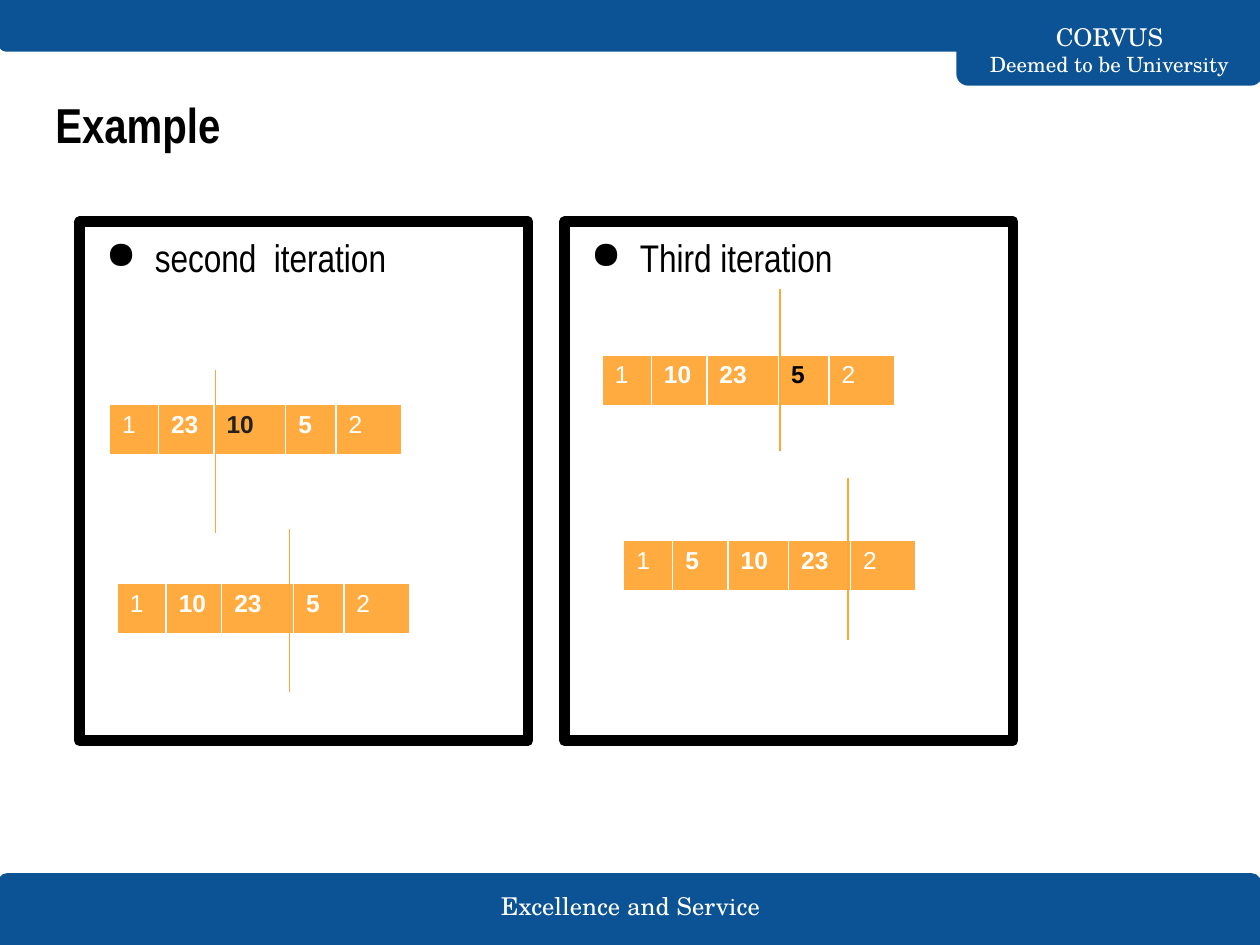
from lxml import etree
from pptx import Presentation
from pptx.dml.color import RGBColor
from pptx.enum.shapes import MSO_CONNECTOR as Conn, MSO_SHAPE as Shape
from pptx.enum.text import MSO_ANCHOR as Anchor, PP_ALIGN as Align
from pptx.oxml.ns import qn
from pptx.util import Pt

BLUE = RGBColor(0x0B, 0x53, 0x94)
WHITE = RGBColor(0xFF, 0xFF, 0xFF)
BLACK = RGBColor(0, 0, 0)
DARK = RGBColor(0x21, 0x21, 0x21)
CELL = RGBColor(0xFF, 0xAB, 0x40)
MARKER = RGBColor(0xFD, 0xA7, 0x39)
SERIF, NARROW, SANS = "TeX Gyre Schola", "Arial Narrow", "Arial"
BOX_TOP, BOX_W, BOX_H = 126.7, 256.3, 296.6
ROW_H, MARKER_H = 29.5, 92.9
COLS = (28, 31.7, 41, 28.8, 37.4)
EVEN_COLS = (28, 31.7, 34.6, 35.3, 37.4)


def write(p, text, size=14, font=SANS, color=WHITE, bold=False):
    r = p.add_run()
    r.text = text
    r.font.size, r.font.name, r.font.bold = Pt(size), font, bold
    r.font.color.rgb = color


def set_frame(tf, anchor=Anchor.TOP):
    tf.word_wrap = True
    tf.vertical_anchor = anchor
    tf.margin_left = tf.margin_right = Pt(7.2)
    tf.margin_top = tf.margin_bottom = Pt(7.2)
    return tf.paragraphs[0]


def add_text_box(s, left, top, width, height, anchor=Anchor.MIDDLE, align=Align.CENTER):
    box = s.shapes.add_textbox(Pt(left), Pt(top), Pt(width), Pt(height))
    p = set_frame(box.text_frame, anchor)
    p.alignment = align
    return p


def add_band(s, left, top, width, height, rotation=0):
    sp = s.shapes.add_shape(Shape.ROUND_2_SAME_RECTANGLE,
                            Pt(left), Pt(top), Pt(width), Pt(height))
    sp.shadow.inherit = False
    sp.adjustments[0], sp.adjustments[1] = 0.125, 0
    sp.rotation = rotation
    sp.fill.solid()
    sp.fill.fore_color.rgb = sp.line.color.rgb = BLUE
    sp.line.width = Pt(1.5)


def add_panel(s, left, text):
    sp = s.shapes.add_shape(Shape.RECTANGLE, Pt(left), Pt(BOX_TOP), Pt(BOX_W), Pt(BOX_H))
    sp.shadow.inherit = False
    sp.fill.background()
    sp.line.color.rgb, sp.line.width = BLACK, Pt(6)
    p = set_frame(sp.text_frame)
    p.alignment = Align.LEFT
    write(p, text, size=22, font=NARROW, color=BLACK)
    # Hanging bullet
    ppr = p._p.get_or_add_pPr()
    ppr.set("marL", str(Pt(36)))
    ppr.set("indent", str(-Pt(28)))
    etree.SubElement(ppr, qn("a:buChar")).set("char", "●")


def set_borders(cell):
    tcpr = cell._tc.get_or_add_tcPr()
    for i, (side, width) in enumerate((("L", 1), ("R", 1), ("T", 1), ("B", 3))):
        ln = etree.Element(qn(f"a:ln{side}"), w=str(Pt(width)))
        fill = etree.SubElement(ln, qn("a:solidFill"))
        etree.SubElement(fill, qn("a:srgbClr")).set("val", str(WHITE))
        tcpr.insert(i, ln)


def add_array(s, left, top, values, cols=COLS, dark=None):
    """Draw one row of values; dark maps a column to its text colour."""
    table = s.shapes.add_table(1, len(values), Pt(left), Pt(top),
                               Pt(sum(cols)), Pt(ROW_H)).table
    table.first_row = table.horz_banding = False
    table.rows[0].height = Pt(ROW_H)
    for i, (value, width) in enumerate(zip(values, cols)):
        table.columns[i].width = Pt(width)
        cell = table.cell(0, i)
        cell.fill.solid()
        cell.fill.fore_color.rgb = CELL
        set_borders(cell)
        write(cell.text_frame.paragraphs[0], str(value),
              color=(dark or {}).get(i, WHITE), bold=0 < i < len(values) - 1)


def add_marker(s, x, top):
    line = s.shapes.add_connector(Conn.STRAIGHT, Pt(x), Pt(top), Pt(x), Pt(top + MARKER_H))
    line.line.color.rgb, line.line.width = MARKER, Pt(0.75)
    etree.SubElement(line._element.spPr, qn("a:effectLst"))


def main():
    prs = Presentation()
    prs.slide_width, prs.slide_height = Pt(720), Pt(540)
    s = prs.slides.add_slide(prs.slide_layouts[6])

    # Footer and header
    add_band(s, -0.7, 499.7, 720.7, 40.3)
    write(add_text_box(s, 263.5, 506.2, 193.7, 23), "Excellence and Service", font=SERIF)
    add_band(s, 547.2, 0, 173.5, 48.2, rotation=180)
    add_band(s, 0, 0, 720.7, 28.8, rotation=180)
    p = add_text_box(s, 547.2, 19.4, 173.5, 18)
    write(p, "CORVUS", font=SERIF)
    p.add_line_break()
    write(p, "Deemed to be University", size=12, font=SERIF)

    # Title
    p = add_text_box(s, 24.5, 46.8, 671, 59.8, anchor=Anchor.TOP, align=Align.LEFT)
    write(p, "Example", size=28, font=NARROW, color=BLACK, bold=True)

    # Second iteration
    add_panel(s, 45.4, "second  iteration")
    add_array(s, 62.6, 231.1, (1, 23, 10, 5, 2), dark={2: DARK})
    add_marker(s, 123.1, 211.7)
    add_array(s, 67, 333.4, (1, 10, 23, 5, 2))
    add_marker(s, 165.6, 302.4)

    # Third iteration
    add_panel(s, 322.6, "Third iteration")
    add_array(s, 344.2, 203, (1, 10, 23, 5, 2), dark={3: BLACK})
    add_marker(s, 445.7, 164.9)
    add_array(s, 356.4, 308.9, (1, 5, 10, 23, 2), cols=EVEN_COLS)
    add_marker(s, 484.6, 272.9)

    prs.save("out.pptx")


if __name__ == "__main__":
    main()
